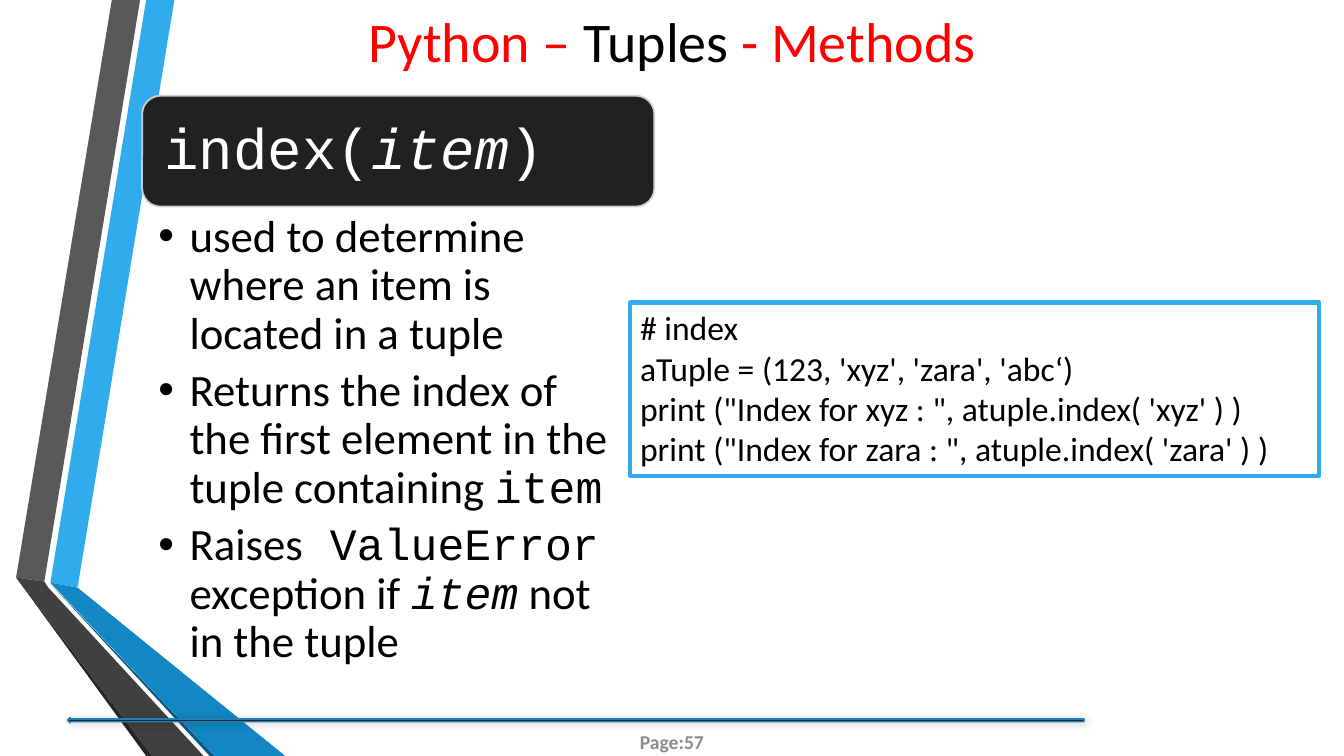
from lxml import etree
from pptx import Presentation
from pptx.dml.color import RGBColor
from pptx.enum.shapes import MSO_SHAPE
from pptx.enum.text import MSO_ANCHOR, PP_ALIGN
from pptx.oxml.ns import qn
from pptx.util import Inches, Pt

ROUND, RECT, ARROW = (MSO_SHAPE.ROUNDED_RECTANGLE, MSO_SHAPE.RECTANGLE,
                      MSO_SHAPE.LEFT_ARROW)
LEFT, MID = PP_ALIGN.LEFT, PP_ALIGN.CENTER
TOP, CENTER = MSO_ANCHOR.TOP, MSO_ANCHOR.MIDDLE

# Content
HEX = dict(sky="30ACEC", blue="1287C3", navy="0C5A82", gray="595959",
           dark="404040", coal="262626", black="000000", white="FFFFFF",
           red="FF0000", card="212121", edge="CDD0D1", rule="247FAF",
           page="8C8C8C")

MONO = {"name": "Courier New"}
SLANT = {"name": "Courier New", "italic": True}
TITLE = [[("Python – ", {"color": "red"}), ("Tuples ", {}),
          ("- Methods", {"color": "red"})]]
HEAD = [[("index(", {}), ("item", {"italic": True}), (")", {})]]
POINTS = [
    [("used to determine where an item is located in a tuple", {})],
    [("Returns the index of the first element in the tuple containing ", {}),
     ("item", MONO)],
    [("Raises", {}), (" ValueError", MONO), (" exception if ", {}),
     ("item", SLANT), (" not in the tuple", {})],
]
CODE = [[(line, {})] for line in (
    "# index",
    "aTuple = (123, 'xyz', 'zara', 'abc‘)",
    "print (\"Index for xyz : \", atuple.index( 'xyz' ) )",
    "print (\"Index for zara : \", atuple.index( 'zara' ) )",
)]
PAGE = [[("Page:57", {})]]

# Layout in inches
WIDE, HIGH = 13.33, 7.5
COL, SPAN = 1.41, 5.08
CARD = (COL, 0.95, SPAN, 1.1)
INNER = (COL + 0.05, CARD[1] + 0.05, SPAN - 0.1, CARD[3] - 0.1)
BODY = (COL, CARD[1] + CARD[3] + 0.01, SPAN, 4.83)
BOX = (6.25, 3, 6.83, 1.72)
RULE = (0.67, 7.12, 10.08, 0.05)
FOOT = ((WIDE - 1.77) / 2, 7.16, 1.77, 0.4)

RIBBON = [
    ("sky", [(0.5, 5.78), (0.77, 5.83), (1.73, 0), (1.45, 0)]),
    ("gray", [(1.39, 0), (1.11, 0), (0.16, 5.73), (0.44, 5.77)]),
    ("coal", [(0.16, 5.73), (1.45, HIGH), (1.51, HIGH)]),
    ("navy", [(0.5, 5.79), (2.08, HIGH), (2.13, HIGH)]),
    ("blue", [(0.5, 5.78), (2.13, HIGH), (2.83, HIGH), (0.77, 5.83)]),
    ("dark", [(2.02, HIGH), (0.48, 5.83), (0.44, 5.77), (0.16, 5.73),
              (1.51, HIGH)]),
]

deck = Presentation()
deck.slide_width, deck.slide_height = Inches(WIDE), Inches(HIGH)
shapes = deck.slides.add_slide(deck.slide_layouts[6]).shapes


def tint(key):
    return RGBColor.from_string(HEX[key])


def paint(shape, fill=None, edge=None, width=1.25):
    shape.shadow.inherit = False
    for part, key in ((shape.fill, fill), (shape.line.fill, edge)):
        if key:
            part.solid()
            part.fore_color.rgb = tint(key)
        else:
            part.background()
    if edge:
        shape.line.width = Pt(width)
    return shape


def block(kind, at, **look):
    return paint(shapes.add_shape(kind, *map(Inches, at)), **look)


def label(at):
    return shapes.add_textbox(*map(Inches, at))


def write(shape, paras, size, color="black", font="Calibri", bold=False,
          pad=(0.1, 0.05, 0.1, 0.05), anchor=CENTER, align=LEFT,
          lead=None, after=0, bullet=0):
    frame = shape.text_frame
    sides = [f"margin_{side}" for side in ("left", "top", "right", "bottom")]
    look = dict(zip(sides, map(Inches, pad)))
    look.update(word_wrap=True, vertical_anchor=anchor)
    for key, value in look.items():
        setattr(frame, key, value)
    for i, runs in enumerate(paras):
        para = frame.add_paragraph() if i else frame.paragraphs[0]
        form = {"alignment": align, "line_spacing": lead,
                "space_after": Pt(after)}
        for key, value in form.items():
            setattr(para, key, value)
        if bullet:
            props = para._p.get_or_add_pPr()
            props.set("marL", str(Inches(bullet)))
            props.set("indent", str(-Inches(bullet)))
            etree.SubElement(props, qn("a:buFont")).set("typeface", "Arial")
            etree.SubElement(props, qn("a:buChar")).set("char", "•")
        for text, extra in runs:
            run = para.add_run()
            run.text = text
            style = {"name": font, "size": Pt(size), "bold": bold,
                     "italic": False, "color": color, **extra}
            run.font.color.rgb = tint(style.pop("color"))
            for key, value in style.items():
                setattr(run.font, key, value)


# Folded ribbon at the left edge
for key, dots in RIBBON:
    dots = [(Inches(x), Inches(y)) for x, y in dots]
    pen = shapes.build_freeform(*dots[0])
    pen.add_line_segments(dots[1:], close=True)
    paint(pen.convert_to_shape(), fill=key)

# Footer with page number and rule
write(label(FOOT), PAGE, 14, "page", bold=True, align=MID,
      pad=(0.04, 0.02, 0.04, 0.02))
rule = block(ARROW, RULE, fill="black", edge="rule")
glow = etree.SubElement(rule._element.spPr.find(qn("a:effectLst")),
                        qn("a:outerShdw"), blurRad=str(Pt(6)),
                        dist=str(Pt(1)), dir=str(45 * 60000))
shade = etree.SubElement(glow, qn("a:srgbClr"), val=HEX["black"])
etree.SubElement(shade, qn("a:alpha"), val="20000")

# Title
write(label((0, -0.03, WIDE, 0.86)), TITLE, 40, align=MID)

# Method card and its points
block(ROUND, CARD, fill="card", edge="edge")
write(label(INNER), HEAD, 41, "white", "Courier New", pad=(0.17,) * 4,
      lead=0.9)
write(label(BODY), POINTS, 32, pad=(0.16, 0.06, 0.32, 0.06), anchor=TOP,
      lead=0.9, after=6.4, bullet=0.31)

# Code sample
write(block(RECT, BOX, edge="sky", width=3), CODE, 24, anchor=TOP)

deck.save("out.pptx")
